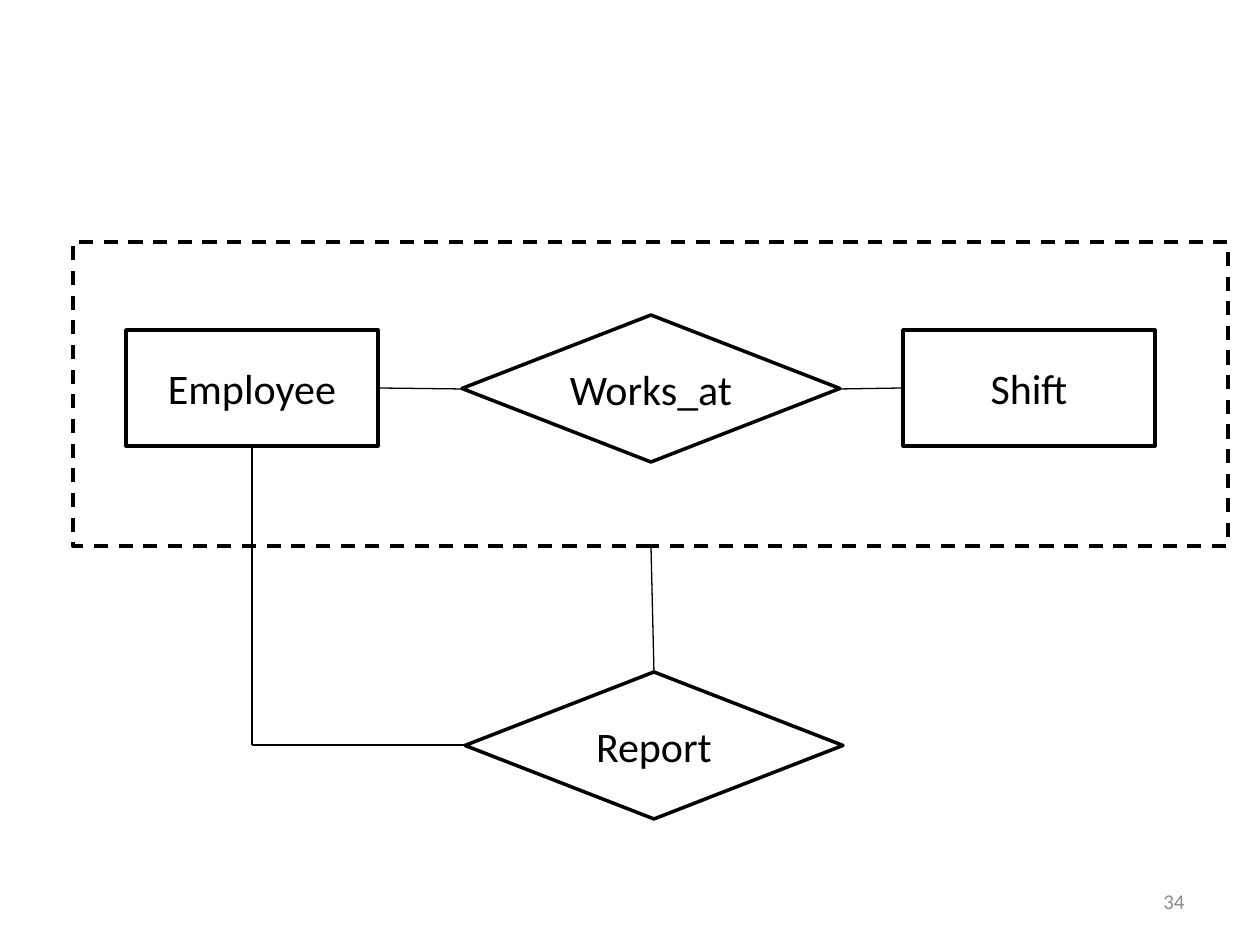
from pptx import Presentation
from pptx import util as u
from pptx.dml.color import RGBColor
from pptx.enum import dml, shapes, text
from lxml import etree

PX = 914400 // 126
COLORS = {"ink": "000000", "number": "8C8C8C"}
RECT = shapes.MSO_SHAPE.RECTANGLE
DIAMOND = shapes.MSO_SHAPE.FLOWCHART_DECISION

prs = Presentation()
prs.slide_width, prs.slide_height = u.Inches(10), u.Inches(7.5)
s = prs.slides.add_slide(prs.slide_layouts[6])


def set_text(sp, words, size, color, align):
    tf = sp.text_frame
    tf.word_wrap = True
    tf.vertical_anchor = text.MSO_ANCHOR.MIDDLE
    p = tf.paragraphs[0]
    p.text = words
    p.alignment = align
    p.font.name = "Calibri"
    p.font.size = u.Pt(size)
    p.font.color.rgb = RGBColor.from_string(COLORS[color])


nodes = [
    ("Employee", RECT, 126, 330, 252, 116),
    ("Shift", RECT, 903, 330, 252, 116),
    ("Works_at", DIAMOND, 462, 315, 378, 147),
    ("", RECT, 73, 242, 1155, 304),
    ("Report", DIAMOND, 465, 672, 378, 147),
]
for name, kind, *box in nodes:
    sp = s.shapes.add_shape(kind, *(v * PX for v in box))
    sp.shadow.inherit = False
    sp.fill.background()
    sp.line.color.rgb = RGBColor.from_string(COLORS["ink"])
    sp.line.width = u.Pt(2)
    if name:
        set_text(sp, name, 24, "ink", text.PP_ALIGN.CENTER)
    else:
        sp.line.dash_style = dml.MSO_LINE.DASH

links = [
    (462, 389, 378, 388),
    (840, 389, 903, 388),
    (654, 672, 651, 546),
    (465, 745, 252, 745),
    (252, 745, 252, 446),
]
for ends in links:
    sp = s.shapes.add_connector(shapes.MSO_CONNECTOR.STRAIGHT, *(v * PX for v in ends))
    sp.line.color.rgb = RGBColor.from_string(COLORS["ink"])
    sp.line.width = u.Pt(0.75)
    etree.SubElement(
        sp._element.spPr,
        "{http://schemas.openxmlformats.org/drawingml/2006/main}effectLst",
    )

sp = s.shapes.add_textbox(*(v * PX for v in (903, 876, 294, 50)))
set_text(sp, "34", 12, "number", text.PP_ALIGN.RIGHT)

prs.save("out.pptx")
